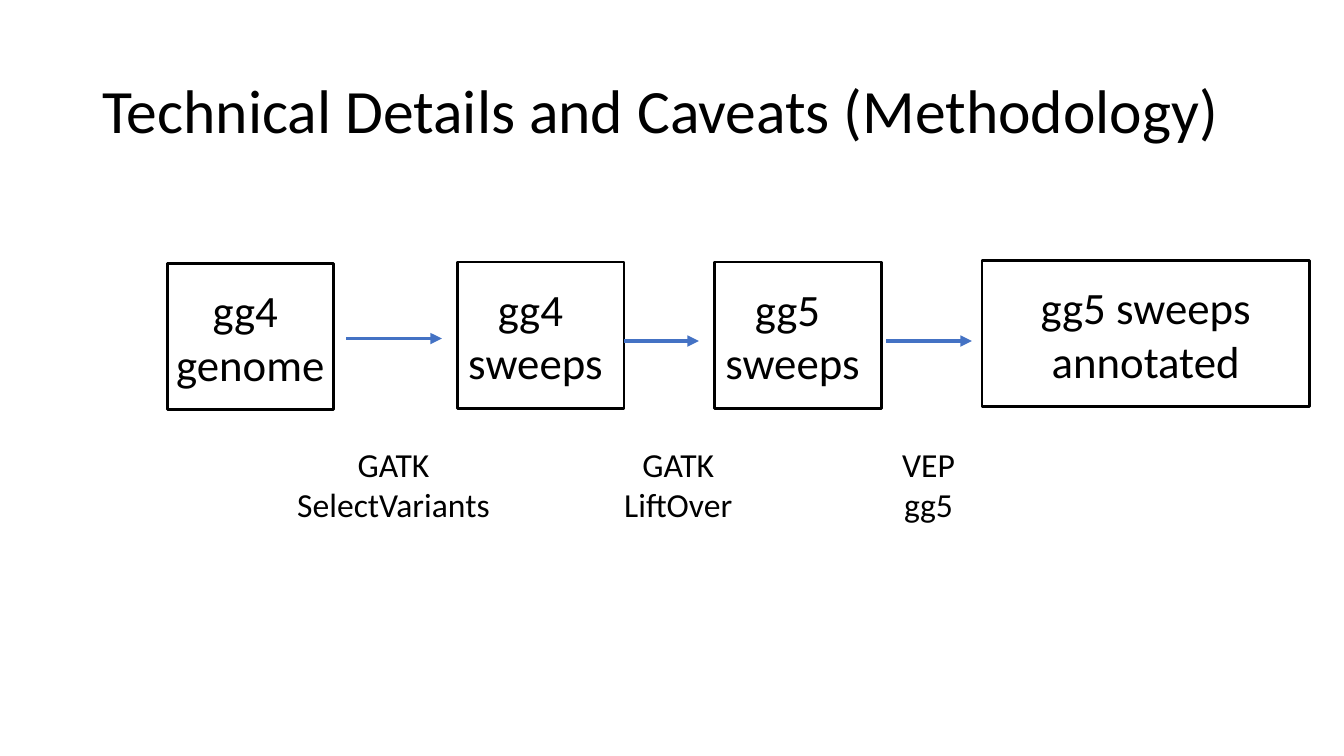
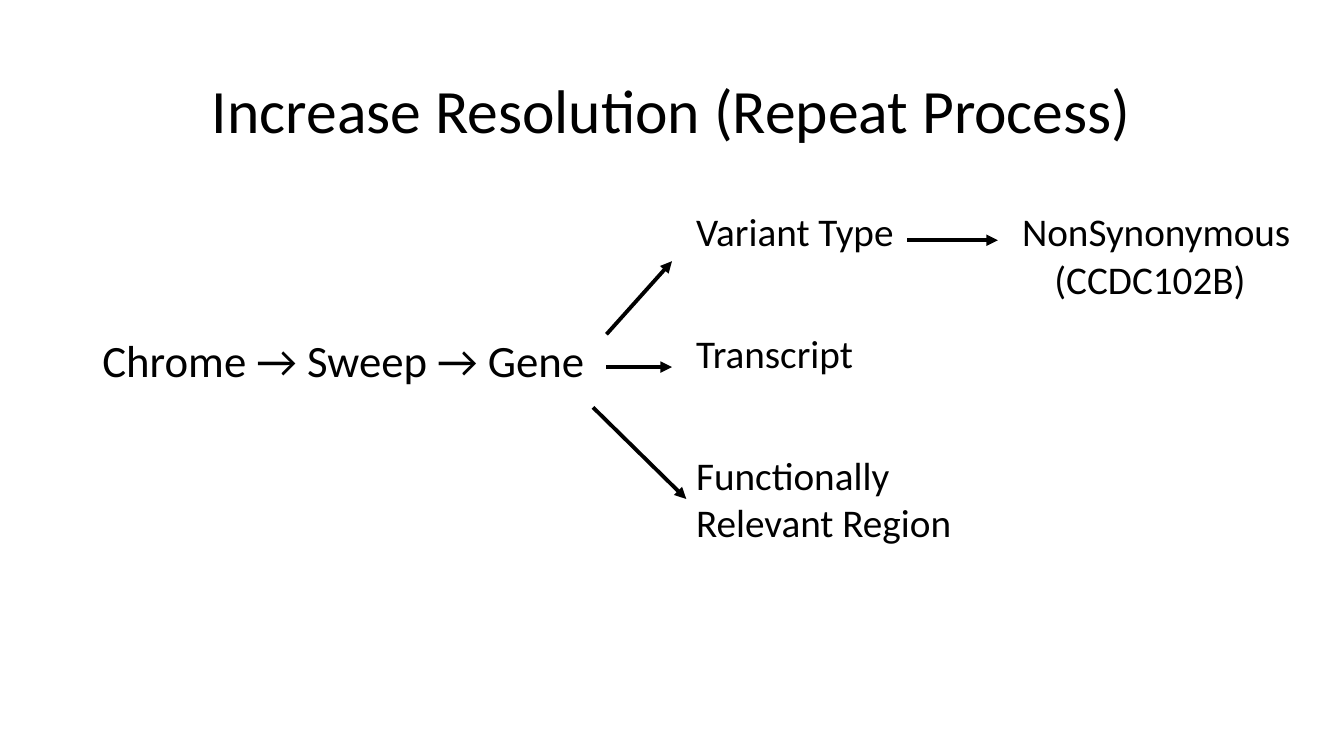
from dataclasses import dataclass

import pptx
import pptx.dml.color
import pptx.enum.dml
import pptx.enum.shapes
import pptx.enum.text
import pptx.oxml
import pptx.util
from lxml import etree

ALIGN = pptx.enum.text.PP_ALIGN
ANCHOR = pptx.enum.text.MSO_ANCHOR


@dataclass(frozen=True)
class Theme:
    font: str = "Calibri"
    ink: pptx.dml.color.RGBColor = pptx.dml.color.RGBColor(0x00, 0x00, 0x00)
    accent: pptx.dml.color.RGBColor = pptx.dml.color.RGBColor(0x44, 0x72, 0xC4)
    title: int = 44
    step: int = 32
    branch: int = 28
    tool: int = 24
    outline: float = 2
    arrow: float = 2.75


theme = Theme()

# The slide is a grid of 160 columns by 90 rows of square cells.
COLUMNS, ROWS = 160, 90
CELL = pptx.util.Inches(1) // 12
TITLE_AREA = (11, 4.8, 138, 17.4)


def put_text(slide, lines, area, size, align=ALIGN.LEFT, anchor=ANCHOR.TOP,
             spacing=1.0, boxed=False, right_inset=0):
    """Place lines in an area of (column, row, columns, rows), boxed or bare."""
    place = [round(n * CELL) for n in area]
    if boxed:
        holder = slide.shapes.add_shape(pptx.enum.shapes.MSO_SHAPE.RECTANGLE, *place)
        holder.shadow.inherit = False
        holder.fill.background()
        holder.line.color.rgb = theme.ink
        holder.line.width = pptx.util.Pt(theme.outline)
    else:
        holder = slide.shapes.add_textbox(*place)
    frame = holder.text_frame
    frame.word_wrap = True
    frame.vertical_anchor = anchor
    if boxed:
        frame.margin_left = 0
        frame.margin_right = round(right_inset * CELL)
    for number, line in enumerate(lines):
        paragraph = frame.add_paragraph() if number else frame.paragraphs[0]
        paragraph.alignment = align
        paragraph.line_spacing = spacing
        run = paragraph.add_run()
        run.text = line
        run.font.name = theme.font
        run.font.size = pptx.util.Pt(size)
        run.font.color.rgb = theme.ink


def put_arrow(slide, start, end, color):
    ends = [round(n * CELL) for n in (*start, *end)]
    arrow = slide.shapes.add_connector(pptx.enum.shapes.MSO_CONNECTOR.STRAIGHT, *ends)
    arrow.line.color.rgb = color
    arrow.line.width = pptx.util.Pt(theme.arrow)
    head = etree.SubElement(arrow.line._get_or_add_ln(), pptx.oxml.ns.qn("a:tailEnd"))
    head.set("type", "triangle")
    etree.SubElement(arrow._element.spPr, pptx.oxml.ns.qn("a:effectLst"))


deck = pptx.Presentation()
deck.slide_width = COLUMNS * CELL
deck.slide_height = ROWS * CELL
blank = deck.slide_layouts[6]

# Methodology: a row of data sets, joined by the tools that turn one into the next
methodology = deck.slides.add_slide(blank)
put_text(methodology, ["Technical Details and Caveats (Methodology)"], TITLE_AREA,
         theme.title, anchor=ANCHOR.MIDDLE, spacing=0.9)

DATA_HEIGHT = 17.4
data_sets = [
    (["gg4 ", "genome"], 19.9, 31.4, 19.8, 0),
    (["gg4 ", "sweeps"], 54.5, 31.2, 19.8, 1.3),
    (["gg5 ", "sweeps"], 85.1, 31.2, 19.8, 1.3),
    (["gg5 sweeps", "annotated"], 116.9, 31.0, 39, 0),
]
for lines, column, row, width, inset in data_sets:
    put_text(methodology, lines, (column, row, width, DATA_HEIGHT), theme.step,
             ALIGN.CENTER, ANCHOR.MIDDLE, boxed=True, right_inset=inset)

TOOL_ROW, TOOL_WIDTH, TOOL_HEIGHT = 52.2, 25.7, 10.9
tools = [
    (["GATK", "SelectVariants"], 34, 41.2, 52.6, 40.3),
    (["GATK", "LiftOver"], 67.9, 74.3, 83.2, 40.6),
    (["VEP", "gg5"], 97.7, 105.5, 115.7, 40.6),
]
for lines, column, start, end, row in tools:
    put_arrow(methodology, (start, row), (end, row), theme.accent)
    put_text(methodology, lines, (column, TOOL_ROW, TOOL_WIDTH, TOOL_HEIGHT),
             theme.tool, ALIGN.CENTER)

# Resolution: one chain that fans out into three branches
resolution = deck.slides.add_slide(blank)
put_text(resolution, ["Increase Resolution (Repeat Process)"], TITLE_AREA,
         theme.title, ALIGN.CENTER, ANCHOR.MIDDLE, spacing=0.9)
put_text(resolution, ["Chrome → Sweep → Gene"], (11, 39.8, 78.4, 8.6),
         theme.step, spacing=0.9)

BRANCH_COLUMN, BRANCH_ROW, BRANCH_STEP = 81.7, 24.1, 14.5
BRANCH_WIDTH, LINE_HEIGHT = 37.2, 6.8
branches = [
    ("Variant Type", 1, (72.2, 39.8), (80, 31.1)),
    ("Transcript", 1, (72.2, 43.7), (80, 43.7)),
    ("Functionally Relevant Region", 2, (70.6, 48.5), (81.7, 59.4)),
]
for number, (label, line_count, start, end) in enumerate(branches):
    row = BRANCH_ROW + number * BRANCH_STEP
    put_text(resolution, [label],
             (BRANCH_COLUMN, row, BRANCH_WIDTH, line_count * LINE_HEIGHT), theme.branch)
    put_arrow(resolution, start, end, theme.ink)

put_arrow(resolution, (108, 28.6), (118.8, 28.6), theme.ink)
put_text(resolution, ["NonSynonymous"],
         (120.5, BRANCH_ROW, BRANCH_WIDTH, LINE_HEIGHT), theme.branch)
put_text(resolution, ["(CCDC102B)"],
         (118.3, 29.8, BRANCH_WIDTH, LINE_HEIGHT), theme.branch, ALIGN.CENTER)

deck.save("out.pptx")
